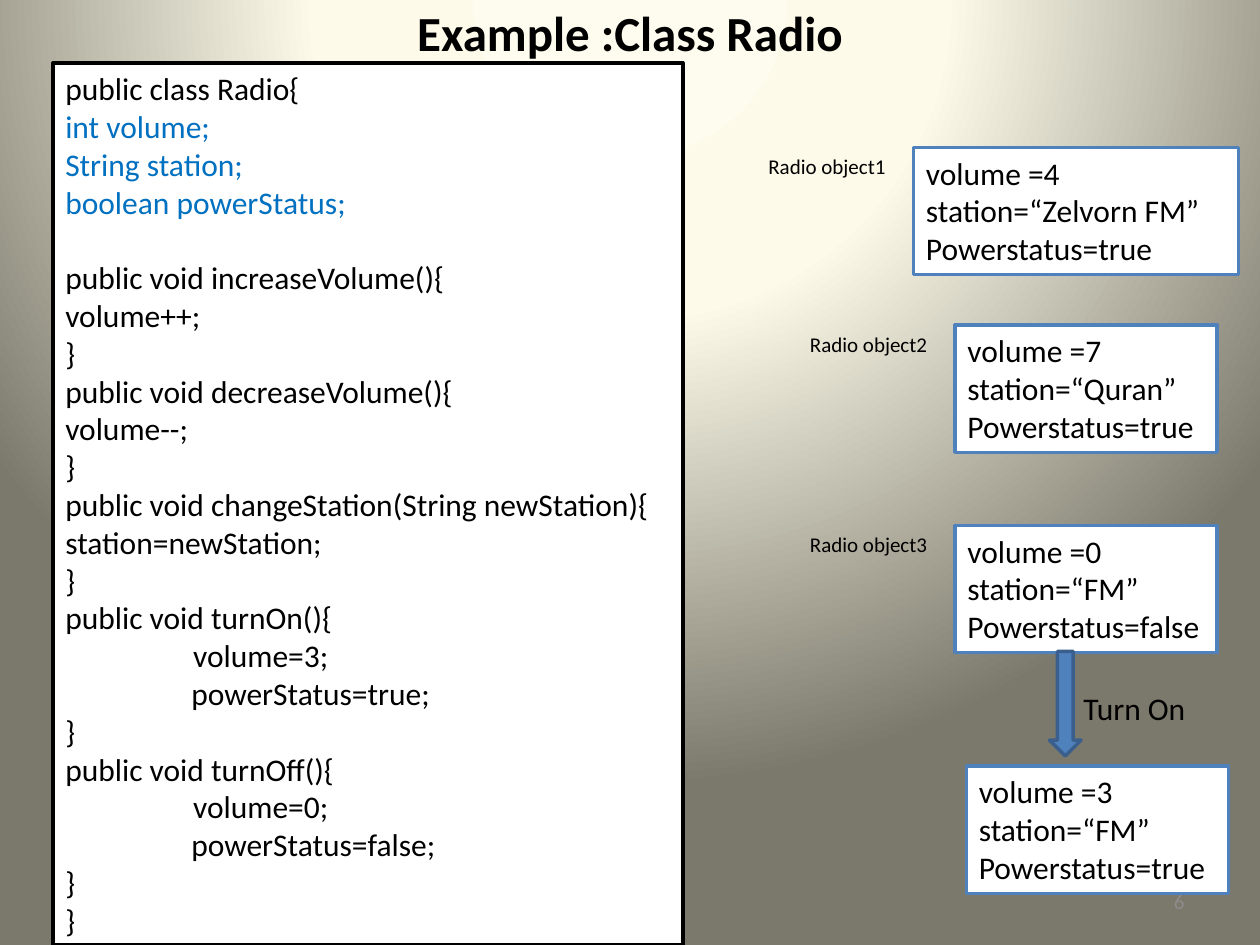
from dataclasses import dataclass
from typing import Optional

from lxml.etree import SubElement, fromstring
from pptx import Presentation
from pptx.dml.color import RGBColor
from pptx.enum.shapes import MSO_SHAPE as Shape
from pptx.enum.text import MSO_ANCHOR as Anchor, PP_ALIGN as Align
from pptx.oxml.ns import qn
from pptx.util import Inches, Pt


@dataclass(frozen=True)
class Theme:
    font: str = "Calibri"
    black: str = "000000"
    white: str = "FFFFFF"
    field: str = "0070C0"
    accent: str = "4F81BD"
    arrow_edge: str = "3A5F8C"
    muted: str = "8C8C8C"
    title_size: int = 28
    body_size: int = 18
    small_size: int = 12
    line_width: int = 2


@dataclass(frozen=True)
class RadioObject:
    left: float
    top: float
    state: tuple[int, str, str]
    name: Optional[str] = None
    width: float = 2.08


THEME = Theme()
LABEL_OFFSET = 1.25
TAB_STOP = Inches(1)

FIELDS = ["int volume;", "String station;", "boolean powerStatus;"]
CODE = [
    "public class Radio{",
    *FIELDS,
    "",
    "public void increaseVolume(){",
    "volume++;",
    "}",
    "public void decreaseVolume(){",
    "volume--;",
    "}",
    "public void changeStation(String newStation){",
    "station=newStation;",
    "}",
    "public void turnOn(){",
    "                  volume=3;",
    "\tpowerStatus=true;",
    "}",
    "public void turnOff(){",
    "                  volume=0;",
    "\tpowerStatus=false;",
    "}",
    "}",
]

RADIOS = [
    RadioObject(7.25, 1.17, (4, "Zelvorn FM", "true"), "Radio object1", width=2.58),
    RadioObject(7.58, 2.58, (7, "Quran", "true"), "Radio object2"),
    RadioObject(7.58, 4.17, (0, "FM", "false"), "Radio object3"),
    RadioObject(7.67, 6.08, (3, "FM", "true")),
]

BACKGROUND = """
<a:gradFill xmlns:a="http://schemas.openxmlformats.org/drawingml/2006/main" rotWithShape="1">
  <a:gsLst>
    <a:gs pos="0"><a:srgbClr val="FEFCEE"/></a:gs>
    <a:gs pos="40000"><a:srgbClr val="FDFAEA"/></a:gs>
    <a:gs pos="100000"><a:srgbClr val="7B796B"/></a:gs>
  </a:gsLst>
  <a:path path="circle">
    <a:fillToRect l="50000" t="-80000" r="50000" b="180000"/>
  </a:path>
</a:gradFill>"""


def paint_background(page) -> None:
    fill = page.background.fill
    fill.gradient()
    gradient = page.element.find(".//" + qn("a:gradFill"))
    gradient.getparent().replace(gradient, fromstring(BACKGROUND))


def add_tab_stop(para) -> None:
    properties = para.runs[0].font  # placeholder-free access follows below
    del properties


def write_text(box, lines: list[str], *, size: int = THEME.body_size,
               color: str = THEME.black, bold: bool = False,
               align: Align = Align.LEFT, anchor: Anchor = Anchor.TOP,
               highlights: tuple[str, ...] = ()) -> None:
    """Write one paragraph per line; lines in highlights get the field colour."""
    frame = box.text_frame
    frame.word_wrap = True
    frame.vertical_anchor = anchor
    for index, line in enumerate(lines):
        para = frame.paragraphs[0] if index == 0 else frame.add_paragraph()
        para.alignment = align
        if line.startswith("\t"):
            tabs = SubElement(para._p.get_or_add_pPr(), qn("a:tabLst"))
            SubElement(tabs, qn("a:tab"), pos=str(TAB_STOP), algn="l")
        para.font.size = Pt(size)
        if not line:
            continue
        span = para.add_run()
        span.text = line
        span.font.name = THEME.font
        span.font.size = Pt(size)
        span.font.bold = bold
        span.font.color.rgb = RGBColor.from_string(
            THEME.field if line in highlights else color)


def add_text(shapes, text: str, left: float, top: float, width: float,
             height: float, **text_format) -> None:
    box = shapes.add_textbox(Inches(left), Inches(top), Inches(width), Inches(height))
    write_text(box, [text], **text_format)


def add_outlined(shapes, kind: Shape, left: float, top: float, width: float,
                 height: float, *, fill: str = THEME.white,
                 line: str = THEME.accent):
    shape = shapes.add_shape(kind, Inches(left), Inches(top),
                             Inches(width), Inches(height))
    shape.shadow.inherit = False
    shape.fill.solid()
    shape.fill.fore_color.rgb = RGBColor.from_string(fill)
    shape.line.color.rgb = RGBColor.from_string(line)
    shape.line.width = Pt(THEME.line_width)
    return shape


def add_radio(page, radio: RadioObject) -> None:
    """Draw the state box, grouped with its name if it has one."""
    shapes = page.shapes.add_group_shape().shapes if radio.name else page.shapes
    box = add_outlined(shapes, Shape.RECTANGLE, radio.left, radio.top,
                       radio.width, 1.01)
    volume, station, power = radio.state
    write_text(box, [f"volume ={volume}", f"station=“{station}”",
                     f"Powerstatus={power}"])
    if radio.name:
        add_text(shapes, radio.name, radio.left - LABEL_OFFSET, radio.top,
                 1.17, 0.3, size=THEME.small_size)


def add_turn_on_arrow(page) -> None:
    shapes = page.shapes.add_group_shape().shapes
    add_outlined(shapes, Shape.DOWN_ARROW, 8.33, 5.17, 0.25, 0.83,
                 fill=THEME.accent, line=THEME.arrow_edge)
    add_text(shapes, "Turn On", 8.5, 5.42, 1.08, 0.4)


def main() -> None:
    deck = Presentation()
    deck.slide_width, deck.slide_height = Inches(10), Inches(7.5)
    page = deck.slides.add_slide(deck.slide_layouts[6])
    paint_background(page)

    add_text(page.shapes, "6", 7.17, 6.95, 2.33, 0.4, size=THEME.small_size,
             color=THEME.muted, align=Align.RIGHT, anchor=Anchor.MIDDLE)
    add_text(page.shapes, "Example :Class Radio", 0.5, 0, 9, 0.5,
             size=THEME.title_size, bold=True, align=Align.CENTER,
             anchor=Anchor.MIDDLE)
    code_box = add_outlined(page.shapes, Shape.RECTANGLE, 0.42, 0.5, 5, 7,
                            line=THEME.black)
    write_text(code_box, CODE, highlights=tuple(FIELDS))
    for radio in RADIOS:
        add_radio(page, radio)
    add_turn_on_arrow(page)

    deck.save("out.pptx")


if __name__ == "__main__":
    main()
